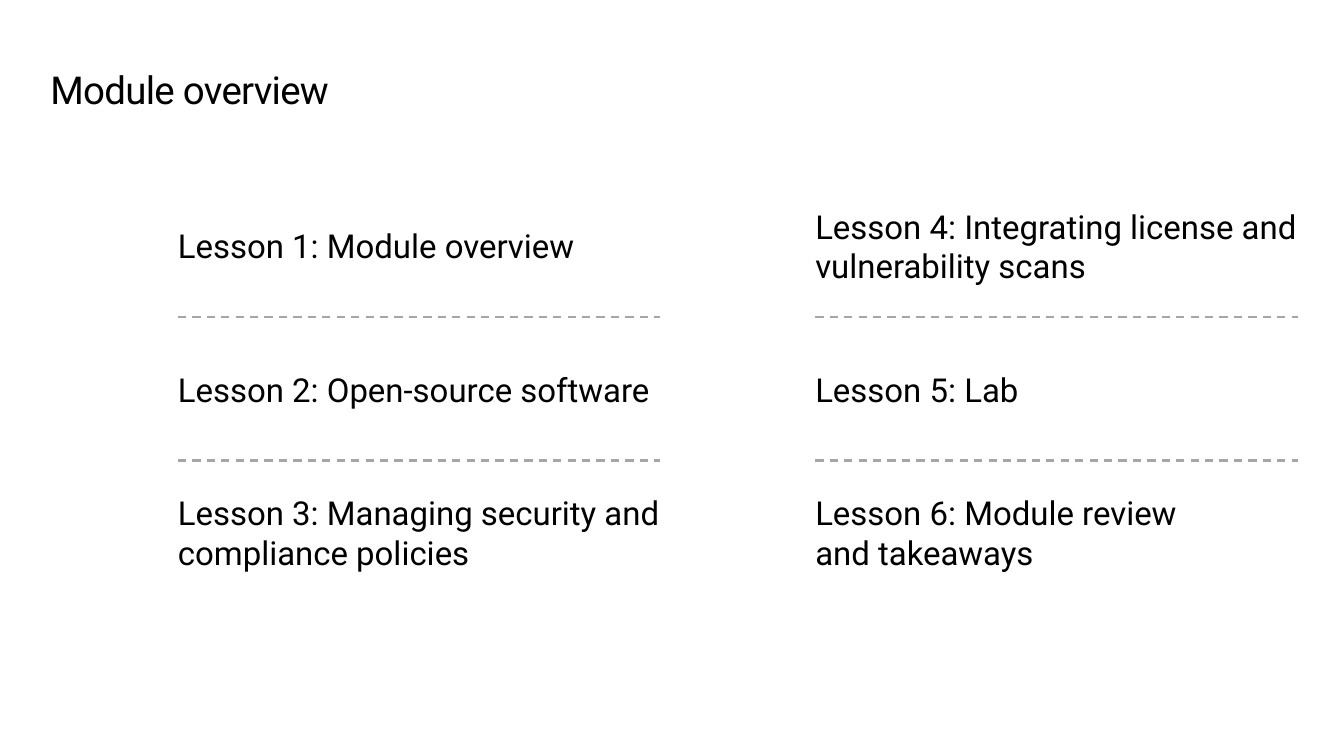
from pptx import Presentation
from pptx.dml.color import RGBColor
from pptx.enum.dml import MSO_LINE
from pptx.enum.shapes import MSO_CONNECTOR
from pptx.enum.text import MSO_ANCHOR, MSO_AUTO_SIZE
from pptx.oxml.ns import qn
from pptx.util import Inches, Pt
from lxml import etree

STRAIGHT = MSO_CONNECTOR.STRAIGHT
DASH = MSO_LINE.DASH
TOP, MIDDLE = MSO_ANCHOR.TOP, MSO_ANCHOR.MIDDLE
FIT_SHAPE = MSO_AUTO_SIZE.SHAPE_TO_FIT_TEXT

COLORS = {"text": "000000", "divider": "A6A6A6"}
FONT = "Roboto"
ROW_PITCH = 1.45
LINE_HEIGHT = 0.405

# Each column lists its lessons with the number of lines they take
COLUMNS = [
    [("Lesson 1: Module overview", 1),
     ("Lesson 2: Open-source software", 1),
     ("Lesson 3: Managing security and compliance policies", 2)],
    [("Lesson 4: Integrating license and vulnerability scans", 2),
     ("Lesson 5: Lab", 1),
     ("Lesson 6: Module review\nand takeaways", 2)],
]


def add_text(page, text, left, top, width, height, size, anchor):
    box = page.shapes.add_textbox(Inches(left), Inches(top), Inches(width), Inches(height))
    frame = box.text_frame
    frame.word_wrap = True
    frame.auto_size = FIT_SHAPE
    frame.vertical_anchor = anchor
    frame.margin_left = frame.margin_right = frame.margin_top = frame.margin_bottom = 0
    para = frame.paragraphs[0]
    para.text = text
    para.font.name = FONT
    para.font.size = Pt(size)
    para.font.color.rgb = RGBColor.from_string(COLORS["text"])
    return para


def add_title(page, text, left, top, width, height):
    para = add_text(page, text, left, top, width, height, 28, TOP)
    para.line_spacing = Pt(32)
    # Slightly tightened letter spacing
    para.runs[0].font._element.set("spc", "-50")


def add_divider(page, left, top, width):
    line = page.shapes.add_connector(
        STRAIGHT, Inches(left), Inches(top), Inches(left + width), Inches(top))
    line.line.color.rgb = RGBColor.from_string(COLORS["divider"])
    line.line.width = Pt(1.5)
    line.line.dash_style = DASH
    etree.SubElement(line._element.spPr, qn("a:effectLst"))


def add_lesson_column(page, lessons, left, top, width):
    for row, (text, line_count) in enumerate(lessons):
        # Lessons are centred in their rows, with dividers halfway between
        center = top + (row + 0.5) * ROW_PITCH
        height = line_count * LINE_HEIGHT
        para = add_text(page, text, left, center - height / 2, width, height, 24, MIDDLE)
        para.space_after = Pt(6)
        if row < len(lessons) - 1:
            add_divider(page, left, top + (row + 1) * ROW_PITCH, width)


def main():
    deck = Presentation()
    deck.slide_width, deck.slide_height = Inches(13.6), Inches(7.65)
    page = deck.slides.add_slide(deck.slide_layouts[6])

    add_title(page, "Module overview", 0.51, 0.69, 12.61, 0.45)
    for index, lessons in enumerate(COLUMNS):
        add_lesson_column(page, lessons, 1.8 + index * 6.45, 1.76, 4.88)

    deck.save("out.pptx")


if __name__ == "__main__":
    main()
